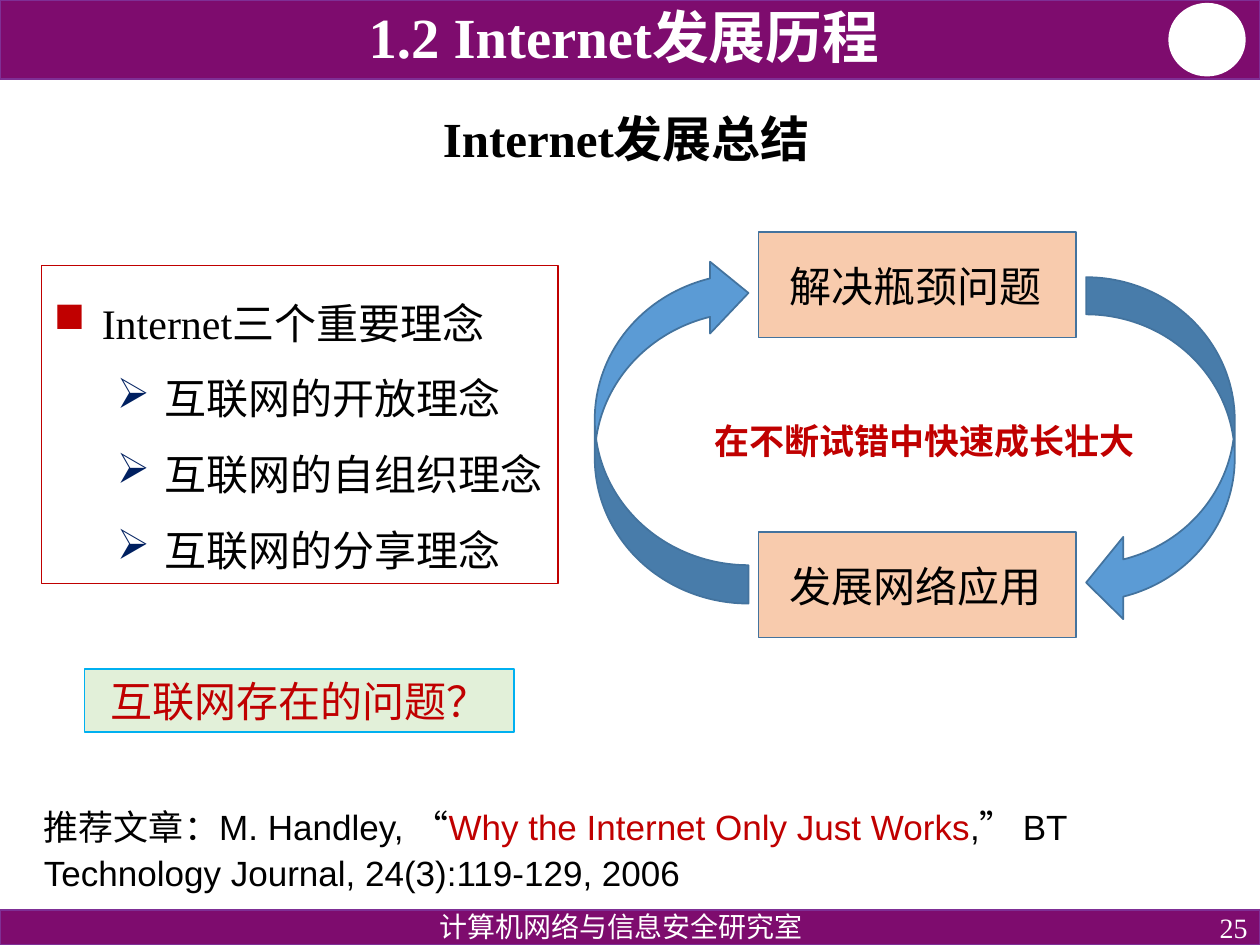
import pptx
import pptx.dml.color
import pptx.enum.shapes
import pptx.enum.text
import pptx.oxml
import pptx.oxml.ns
import pptx.util
from pptx.util import Inches

SHAPE = pptx.enum.shapes.MSO_SHAPE
ALIGN = pptx.enum.text.PP_ALIGN
ANCHOR = pptx.enum.text.MSO_ANCHOR

COLORS = {
    "black": "000000", "white": "FFFFFF", "red": "C00000", "navy": "002060",
    "purple": "7E0C6E", "violet": "7F2F95", "blue": "5B9BD5",
    "steel": "43739E", "cyan": "00B0F0", "peach": "F8CBAD", "green": "E2F0D9",
}
SERIF, SANS, BODY = "Times New Roman", "Arial", "Calibri"


class SlideBuilder:
    def __init__(self, slide):
        self.s = slide

    def color(self, name):
        return pptx.dml.color.RGBColor.from_string(COLORS[name])

    def shape(self, kind, box, fill=None, line=None, width=1.0):
        sp = self.s.shapes.add_shape(kind, *map(Inches, box))
        sp.shadow.inherit = False
        if fill:
            sp.fill.solid()
            sp.fill.fore_color.rgb = self.color(fill)
        else:
            sp.fill.background()
        if line:
            sp.line.color.rgb = self.color(line)
            sp.line.width = pptx.util.Pt(width)
        else:
            sp.line.fill.background()
        return sp

    def arrow(self, box, bend, rotation=0):
        sp = self.shape(SHAPE.CURVED_LEFT_ARROW, box, "blue", "steel")
        for i, value in enumerate((0.25, bend, 0.25)):
            sp.adjustments[i] = value
        sp.rotation = rotation

    def frame(self, sp, anchor=ANCHOR.TOP, wrap=True):
        tf = sp.text_frame
        tf.word_wrap = wrap
        tf.auto_size = pptx.enum.text.MSO_AUTO_SIZE.NONE
        tf.vertical_anchor = anchor
        return tf

    def run(self, p, text, size, font, color="black", bold=False):
        r = p.add_run()
        r.text = text
        r.font.size = pptx.util.Pt(size)
        r.font.name = font
        r.font.bold = bold
        r.font.color.rgb = self.color(color)

    def line(self, sp, text, size, font, color="black", bold=False,
             align=ALIGN.CENTER, anchor=ANCHOR.TOP, wrap=True):
        p = self.frame(sp, anchor, wrap).paragraphs[0]
        p.alignment = align
        self.run(p, text, size, font, color, bold)
        return p

    def textbox(self, box):
        return self.s.shapes.add_textbox(*map(Inches, box))

    def indent(self, p, left, first=0.0):
        pPr = p._p.get_or_add_pPr()
        pPr.set("marL", str(Inches(left)))
        pPr.set("indent", str(Inches(first)))
        return pPr

    def bullet(self, p, char, color, left):
        pPr = self.indent(p, left, -0.38)
        ns = pptx.oxml.ns.nsdecls("a")
        for xml in (
            f'<a:buClr {ns}><a:srgbClr val="{COLORS[color]}"/></a:buClr>',
            f'<a:buChar {ns} char="{char}"/>',
        ):
            pPr.append(pptx.oxml.parse_xml(xml))


def main():
    prs = pptx.Presentation()
    prs.slide_width, prs.slide_height = Inches(10), Inches(7.5)
    b = SlideBuilder(prs.slides.add_slide(prs.slide_layouts[5]))

    # Header and footer bands
    b.shape(SHAPE.RECTANGLE, (0, 0, 10, 0.63), "purple", "violet")
    b.shape(SHAPE.OVAL, (9.28, 0.03, 0.6, 0.57), "white", "white")
    b.shape(SHAPE.RECTANGLE, (0, 7.22, 10, 0.28), "purple", "violet")
    b.line(b.textbox((7.75, 7.22, 2.25, 0.28)), "25", 16, SERIF, "white",
           align=ALIGN.RIGHT, anchor=ANCHOR.MIDDLE)
    p = b.line(b.textbox((2.69, 7.2, 4.48, 0.28)),
               "计算机网络与信息安全研究室", 16, SERIF, "white")
    p.line_spacing = 0.9

    # Title, raised above the header band
    title = b.s.shapes.title
    title.left, title.top, title.width, title.height = map(
        Inches, (0.67, 0.04, 8.56, 0.56))
    p = b.line(title, "1.2 Internet发展历程", 32.4, SERIF, "white", True,
               anchor=ANCHOR.BOTTOM)
    p.line_spacing = 0.8
    b.s.shapes._spTree.append(title._element)
    b.line(b.textbox((0.33, 0.81, 9.28, 0.57)), "Internet发展总结",
           28, SERIF, bold=True)

    # Growth cycle
    for top, text in ((1.84, "解决瓶颈问题"), (4.22, "发展网络应用")):
        b.shape(SHAPE.RECTANGLE, (6.02, top, 2.52, 0.84), "peach", "steel")
        label = b.shape(SHAPE.RECTANGLE, (6.1, top + 0.18, 2.34, 0.56), "peach")
        b.line(label, text, 24, BODY)
    b.arrow((8.62, 2.2, 1.18, 2.75), 0.553)
    b.arrow((4.72, 2.04, 1.22, 2.75), 0.467, 180)
    p = b.line(b.textbox((5.07, 3.28, 4.14, 0.44)), "在不断试错中快速成长壮大",
               20, BODY, "red", True, ALIGN.LEFT, wrap=False)
    b.indent(p, 0.5)

    # Three ideas
    tf = b.frame(b.shape(SHAPE.RECTANGLE, (0.33, 2.11, 4.1, 2.52),
                         line="red", width=0.75))
    ideas = (
        ("Internet三个重要理念", SERIF, 0),
        ("互联网的开放理念", BODY, 1),
        ("互联网的自组织理念", BODY, 1),
        ("互联网的分享理念", SERIF, 1),
    )
    for i, (text, font, level) in enumerate(ideas):
        p = tf.add_paragraph() if i else tf.paragraphs[0]
        p.level = level
        p.alignment = ALIGN.JUSTIFY
        p.line_spacing = 1.5
        b.bullet(p, "■➢"[level], ("red", "navy")[level], 0.38 + 0.5 * level)
        b.run(p, text, 24, font)

    # Question
    question = b.shape(SHAPE.RECTANGLE, (0.67, 5.31, 3.41, 0.5),
                       "green", "cyan", 0.75)
    b.line(question, "互联网存在的问题？", 24, BODY, "red")

    # Recommended reading
    p = b.line(b.textbox((0.25, 6.32, 9.47, 0.8)),
               "推荐文章：M. Handley, “", 20, SANS, align=ALIGN.LEFT)
    p.line_spacing = pptx.util.Pt(26)
    b.run(p, "Why the Internet Only Just Works", 20, SANS, "red")
    b.run(p, ",” BT Technology Journal, 24(3):119-129, 2006", 20, SANS)

    prs.save("out.pptx")


if __name__ == "__main__":
    main()
